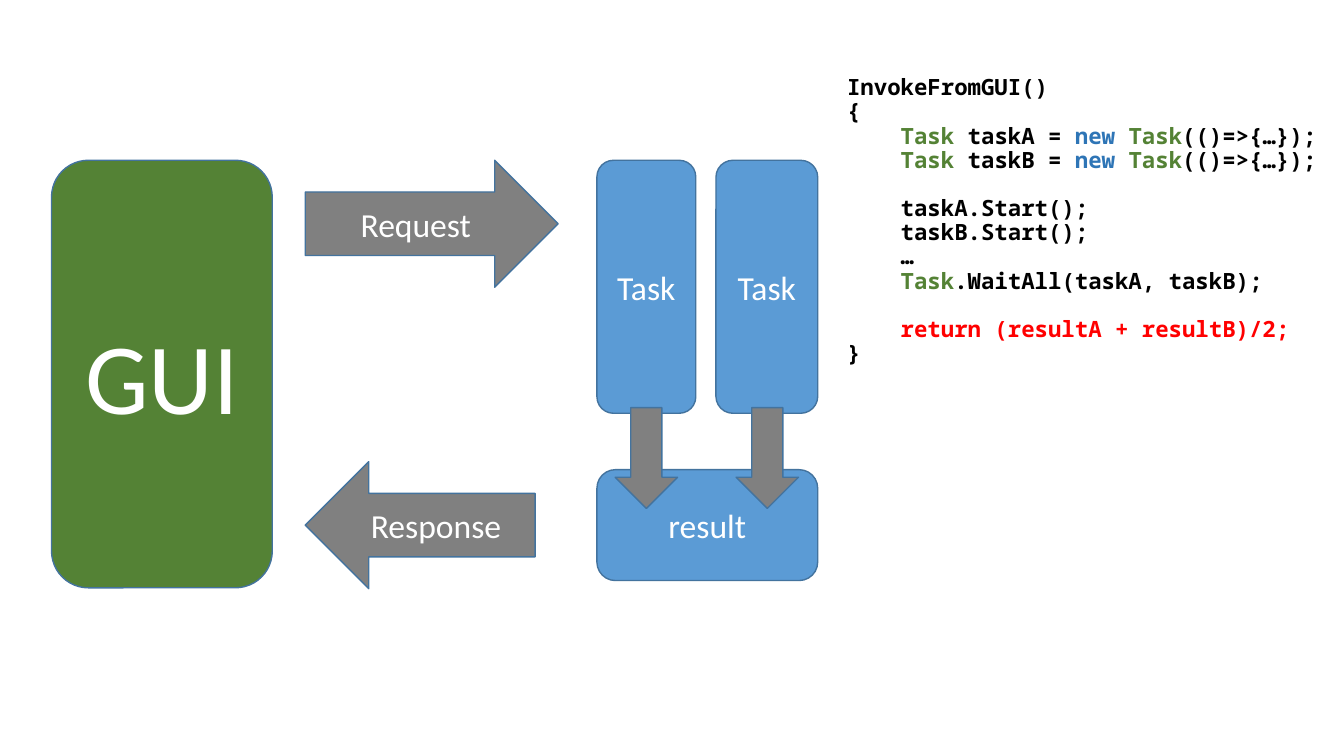
import pptx
import pptx.dml.color
import pptx.enum.shapes
import pptx.enum.text
import pptx.util

Pt = pptx.util.Pt
SHAPE = pptx.enum.shapes.MSO_SHAPE
COLORS = {
    "green": "548235", "blue": "5B9BD5", "gray": "808080", "outline": "43739E",
    "white": "FFFFFF", "black": "000000", "keyword": "2E75B6", "red": "FF0000",
}
LINE_PITCH = 17.3

# Each code line is a list of (text, color) spans; an empty list is a blank line
INDENT = ("    ", "black")
CODE = [
    [("InvokeFromGUI()", "black")],
    [("{", "black")],
    *[[INDENT, ("Task", "green"), (f" task{name} = ", "black"), ("new ", "keyword"),
       ("Task", "green"), ("(()=>{…});", "black")] for name in "AB"],
    [],
    [("    taskA.Start();", "black")],
    [("    taskB.Start();", "black")],
    [("    …", "black")],
    [INDENT, ("Task", "green"), (".WaitAll(taskA, taskB);", "black")],
    [],
    [INDENT, ("return (resultA + resultB)/2;", "red")],
    [("}", "black")],
]


def rgb(name):
    return pptx.dml.color.RGBColor.from_string(COLORS[name])


def add_block(page, kind, box, fill, text="", size=24):
    shape = page.shapes.add_shape(kind, *(Pt(value) for value in box))
    shape.shadow.inherit = False
    shape.fill.solid()
    shape.fill.fore_color.rgb = rgb(fill)
    shape.line.color.rgb = rgb("outline")
    shape.line.width = Pt(1)
    if text:
        frame = shape.text_frame
        frame.word_wrap = True
        frame.vertical_anchor = pptx.enum.text.MSO_ANCHOR.MIDDLE
        para = frame.paragraphs[0]
        para.text = text
        para.alignment = pptx.enum.text.PP_ALIGN.CENTER
        para.font.name = "Calibri"
        para.font.size = Pt(size)
        para.font.color.rgb = rgb("white")


def add_messages(page, left, top, width, height):
    """Request arrow at the top of the box, response arrow at its bottom."""
    arrow_height = 90.7
    add_block(page, SHAPE.RIGHT_ARROW, (left, top, width, arrow_height), "gray", "Request")
    add_block(page, SHAPE.LEFT_ARROW,
              (left, top + height - arrow_height, width - 16.5, arrow_height), "gray", "Response")


def add_tasks(page, left, top, width, height):
    """Two tasks side by side, each feeding the result below."""
    task_height, result_height = 180.7, 79.2
    arrow_width, arrow_height = 44.6, 72
    add_block(page, SHAPE.ROUNDED_RECTANGLE,
              (left, top + height - result_height, width, result_height), "blue", "result")
    for task_left, task_width in ((left, 70.6), (left + 85, width - 85)):
        add_block(page, SHAPE.ROUNDED_RECTANGLE,
                  (task_left, top, task_width, task_height), "blue", "Task")
    for arrow_left in (left + 13, left + 99.4):
        add_block(page, SHAPE.DOWN_ARROW,
                  (arrow_left, top + task_height - 4, arrow_width, arrow_height), "gray")


def add_code(page, left, top, width, height):
    box = page.shapes.add_textbox(Pt(left), Pt(top), Pt(width), Pt(height))
    frame = box.text_frame
    frame.word_wrap = True
    frame.margin_right = 0
    para, gap = frame.paragraphs[0], 0
    for number, line in enumerate(CODE):
        if not line:
            gap += LINE_PITCH
            continue
        if number:
            para = frame.add_paragraph()
        para.line_spacing = 0.9
        para.space_before = Pt(gap)
        gap = 0
        para.font.name = "Noto Sans Mono"
        para.font.size = Pt(16)
        para.font.bold = True
        for text, color in line:
            span = para.add_run()
            span.text = text
            span.font.color.rgb = rgb(color)


def build_slide(deck):
    page = deck.slides.add_slide(deck.slide_layouts[6])
    top = 114.5
    add_block(page, SHAPE.ROUNDED_RECTANGLE, (36.8, top, 157.7, 305.4), "green", "GUI", 72)
    add_messages(page, 218, top, 180.7, 306)
    add_tasks(page, 426.4, top, 157.7, 300.2)
    add_code(page, 598, 51, 351, 363.6)


def main():
    deck = pptx.Presentation()
    deck.slide_width, deck.slide_height = Pt(960), Pt(540)
    build_slide(deck)
    deck.save("out.pptx")


if __name__ == "__main__":
    main()
